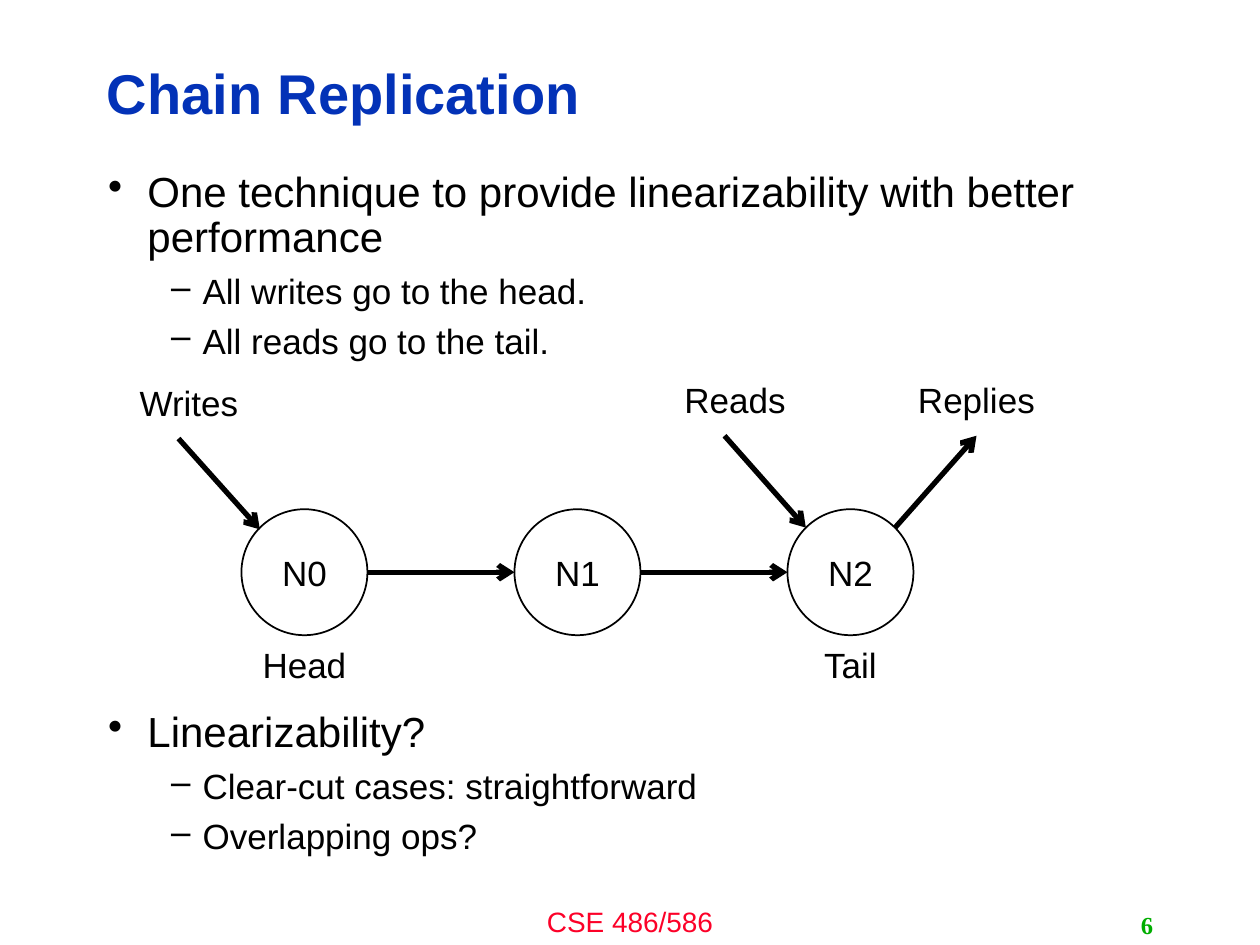
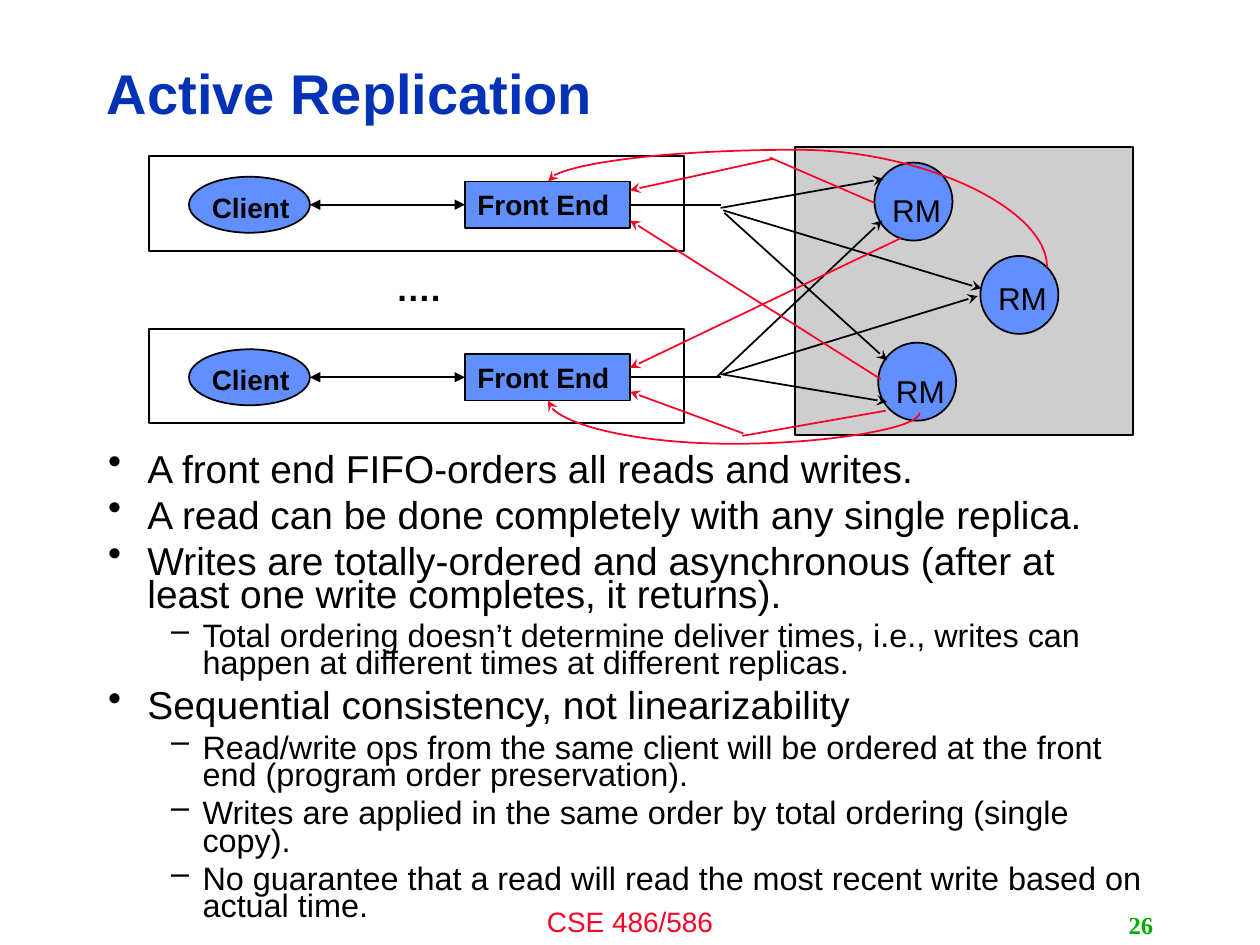
from dataclasses import dataclass

from lxml import etree
from pptx import Presentation
from pptx.dml.color import RGBColor
from pptx.enum.shapes import MSO_CONNECTOR as CONN, MSO_SHAPE as SHAPE
from pptx.enum.text import MSO_ANCHOR as ANCHOR, PP_ALIGN as ALIGN
from pptx.oxml.ns import qn
from pptx.util import Pt

# Shared style
BLACK, WHITE, RED = "000000", "FFFFFF", "FC0128"
TITLE_BLUE, NUMBER_GREEN = "0332B7", "00AE00"
NODE_BLUE, PANEL_GREY = "618FFD", "CECECE"
SANS, SERIF = "Arial", "Times New Roman"
BULLETS = (("•", 22.5, -22.5), ("–", 54, -18))  # mark, margin, indent by level
SPACE_RATIO = 0.345  # space above a body line, relative to its text size


@dataclass(frozen=True)
class Box:
    x: float
    y: float
    w: float
    h: float

    def down(self, dy: float) -> "Box":
        return Box(self.x, self.y + dy, self.w, self.h)


@dataclass(frozen=True)
class Style:
    size: float
    color: str = BLACK
    bold: bool = False
    font: str = SANS
    align: ALIGN = ALIGN.CENTER
    anchor: ANCHOR = ANCHOR.TOP
    spacing: float = 1.0


@dataclass(frozen=True)
class Item:
    text: str
    level: int = 0
    gap: float | None = None  # replaces the usual space above


@dataclass(frozen=True)
class Arrow:
    start: tuple[float, float]
    end: tuple[float, float]
    color: str = BLACK
    tail: str | None = "stealth"
    width: float = 1
    head: str | None = None


@dataclass(frozen=True)
class Curve:
    start: tuple[float, float]
    end: tuple[float, float]
    bend: float
    turn: int
    flip: str


@dataclass(frozen=True)
class Replica:
    x: float
    y: float
    drop: float  # distance from circle top to label box


TITLE = Style(32, TITLE_BLUE, True, align=ALIGN.LEFT, anchor=ANCHOR.MIDDLE, spacing=0.9)
FOOTER = Style(16, RED)
NUMBER = Style(14, NUMBER_GREEN, True, SERIF, ALIGN.RIGHT, ANCHOR.MIDDLE)
NODE = Style(20, anchor=ANCHOR.MIDDLE)
LABEL = Style(20)
DOTS = Style(20, bold=True)
CLIENT = Style(16, bold=True)
FRONT_END = Style(16, bold=True, align=ALIGN.LEFT)
REPLICA = Style(18)


def rgb(color: str) -> RGBColor:
    return RGBColor.from_string(color)


def add_run(p, text: str, size: float, color: str = BLACK,
            bold: bool = False, font: str = SANS) -> None:
    r = p.add_run()
    r.text = text
    r.font.size, r.font.bold, r.font.name = Pt(size), bold, font
    r.font.color.rgb = rgb(color)


def write(sp, text: str, style: Style) -> None:
    tf = sp.text_frame
    tf.word_wrap = True
    tf.vertical_anchor = style.anchor
    p = tf.paragraphs[0]
    p.alignment, p.line_spacing = style.align, style.spacing
    add_run(p, text, style.size, style.color, style.bold, style.font)


def textbox(slide, box: Box):
    return slide.shapes.add_textbox(Pt(box.x), Pt(box.y), Pt(box.w), Pt(box.h))


def label(slide, box: Box, text: str, style: Style) -> None:
    write(textbox(slide, box), text, style)


def shape(slide, kind: SHAPE, box: Box, fill: str | None = None):
    sp = slide.shapes.add_shape(kind, Pt(box.x), Pt(box.y), Pt(box.w), Pt(box.h))
    sp.shadow.inherit = False
    if fill:
        sp.fill.solid()
        sp.fill.fore_color.rgb = rgb(fill)
    else:
        sp.fill.background()
    sp.line.color.rgb, sp.line.width = rgb(BLACK), Pt(1)
    return sp


def connector(slide, kind: CONN, arrow: Arrow):
    c = slide.shapes.add_connector(kind, *map(Pt, arrow.start + arrow.end))
    c.line.color.rgb, c.line.width = rgb(arrow.color), Pt(arrow.width)
    ln = c.line._get_or_add_ln()
    for tag, end in (("a:headEnd", arrow.head), ("a:tailEnd", arrow.tail)):
        if end:
            etree.SubElement(ln, qn(tag)).set("type", end)
    etree.SubElement(c._element.spPr, qn("a:effectLst"))
    return c


def straight(slide, arrow: Arrow):
    return connector(slide, CONN.STRAIGHT, arrow)


def curve(slide, spec: Curve) -> None:
    """Draw a quarter-turned curved connector that leaves vertically."""
    (x1, y1), (x2, y2) = spec.start, spec.end
    cx, cy = (x1 + x2) / 2, (y1 + y2) / 2
    dx, dy = abs(x2 - x1) / 2, abs(y2 - y1) / 2
    c = connector(slide, CONN.CURVE,
                  Arrow((cx - dy, cy - dx), (cx + dy, cy + dx), RED))
    xfrm = c._element.spPr.find(qn("a:xfrm"))
    xfrm.set("rot", str(spec.turn * 60000))
    xfrm.set(spec.flip, "1")
    geom = c._element.spPr.find(qn("a:prstGeom"))
    guides = geom.find(qn("a:avLst"))
    if guides is None:
        guides = etree.SubElement(geom, qn("a:avLst"))
    guide = etree.SubElement(guides, qn("a:gd"))
    guide.set("name", "adj1")
    guide.set("fmla", f"val {round(spec.bend * 100000)}")


def body(slide, box: Box, items: list[Item], sizes: tuple[float, float],
         spacing: float) -> None:
    tf = textbox(slide, box).text_frame
    tf.word_wrap = True
    for i, item in enumerate(items):
        p = tf.add_paragraph() if i else tf.paragraphs[0]
        size = sizes[item.level]
        gap = size * SPACE_RATIO if item.gap is None else item.gap
        p.level, p.line_spacing, p.space_before = item.level, spacing, Pt(gap)
        mark, margin, indent = BULLETS[item.level]
        pPr = p._p.get_or_add_pPr()
        pPr.set("marL", str(Pt(margin)))
        pPr.set("indent", str(Pt(indent)))
        etree.SubElement(pPr, qn("a:buChar")).set("char", mark)
        add_run(p, item.text, size)


def new_slide(prs, title: str, number: int):
    slide = prs.slides.add_slide(prs.slide_layouts[6])
    label(slide, Box(240, 513.4, 240, 26.6), "CSE 486/586", FOOTER)
    label(slide, Box(54, 26, 574.6, 58.3), title, TITLE)
    label(slide, Box(516.2, 517, 149.8, 23), str(number), NUMBER)
    return slide


def chain_slide(prs) -> None:
    slide = new_slide(prs, "Chain Replication", 6)
    body(slide, Box(54.7, 94.3, 604.8, 388), [
        Item("One technique to provide linearizability with better performance", gap=0),
        Item("All writes go to the head.", 1),
        Item("All reads go to the tail.", 1),
        Item("Linearizability?", gap=200),  # leaves room for the diagram
        Item("Clear-cut cases: straightforward", 1),
        Item("Overlapping ops?", 1),
    ], (24, 20), 0.9)

    # Chain of nodes
    for i in range(3):
        x = 138 + 156 * i
        sp = shape(slide, SHAPE.OVAL, Box(x, 291, 72, 72), WHITE)
        write(sp, f"N{i}", NODE)
        if i:
            straight(slide, Arrow((x - 84, 327), (x, 327), tail="arrow", width=3))

    # Requests and replies at the upper corners of the outer nodes
    for start, end in (((102, 250.6), (148.5, 302.5)),
                       ((414, 249), (460.5, 301.5)),
                       ((511.5, 301.5), (558, 249))):
        straight(slide, Arrow(start, end, tail="arrow", width=3))
    for text, x, y in (("Writes", 54, 214.6), ("Reads", 366, 213),
                       ("Replies", 504, 213), ("Head", 120, 364.3),
                       ("Tail", 432, 364.3)):
        label(slide, Box(x, y, 108, 31.7), text, LABEL)


def active_slide(prs) -> None:
    slide = new_slide(prs, "Active Replication", 26)
    body(slide, Box(54.7, 257.8, 604.8, 282), [
        Item("A front end FIFO-orders all reads and writes.", gap=0),
        Item("A read can be done completely with any single replica."),
        Item("Writes are totally-ordered and asynchronous (after at least one "
             "write completes, it returns)."),
        Item("Total ordering doesn’t determine deliver times, i.e., writes can "
             "happen at different times at different replicas.", 1),
        Item("Sequential consistency, not linearizability"),
        Item("Read/write ops from the same client will be ordered at the front "
             "end (program order preservation).", 1),
        Item("Writes are applied in the same order by total ordering (single copy).", 1),
        Item("No guarantee that a read will read the most recent write based on "
             "actual time.", 1),
    ], (22.2, 18.5), 0.7)

    # Replica managers
    shape(slide, SHAPE.RECTANGLE, Box(454.3, 84.2, 193, 164.2), PANEL_GREY)
    for rm in (Replica(560.2, 146.2, 10), Replica(499.7, 92.9, 13),
               Replica(501.8, 195.8, 13)):
        shape(slide, SHAPE.OVAL, Box(rm.x, rm.y, 44.6, 44.6), NODE_BLUE)
        label(slide, Box(rm.x - 2.5, rm.y + rm.drop, 53.3, 26.6), "RM", REPLICA)

    # Two client rows
    for dy in (0, 98.6):
        shape(slide, SHAPE.RECTANGLE, Box(85, 89.3, 306, 54).down(dy))
        shape(slide, SHAPE.OVAL, Box(108, 101, 69.1, 32).down(dy), NODE_BLUE)
        label(slide, Box(108.7, 105.1, 69.1, 26.6).down(dy), "Client", CLIENT)
        front = shape(slide, SHAPE.RECTANGLE,
                      Box(265.7, 103.7, 94.3, 26.6).down(dy), NODE_BLUE)
        write(front, "Front End", FRONT_END)
        y = 117 + dy
        link = straight(slide, Arrow((177.1, y), (265.7, y),
                                     tail="triangle", head="triangle"))
        link.end_connect(front, 1)
        fan_out = straight(slide, Arrow((360, y), (411.8, y), tail=None))
        fan_out.begin_connect(front, 3)
    label(slide, Box(187.2, 149, 103.7, 31.7), "….", DOTS)

    # Requests to the replicas (black) and replies (red)
    for arrow in (
        Arrow((411.8, 118.8), (504.7, 102.2)),
        Arrow((413.3, 120.2), (560.9, 164.9)),
        Arrow((414, 121.7), (506.9, 205.9)),
        Arrow((409.7, 215.3), (504, 126)),
        Arrow((411.8, 213.8), (506.9, 229.7)),
        Arrow((413.3, 213.8), (558.7, 169.2)),
        Arrow((499.7, 115.9), (439.9, 90), RED, None),
        Arrow((442.1, 90.7), (360, 108.7), RED),
        Arrow((503.3, 216.7), (360, 126), RED),
        Arrow((506.2, 234.7), (424.1, 249.1), RED, None),
        Arrow((424.8, 247.7), (360, 223.9), RED),
        Arrow((514.8, 136.1), (360, 210.2), RED),
    ):
        straight(slide, arrow)
    curve(slide, Curve((598.3, 152.6), (313.2, 103.7), 1.37, 270, "flipV"))
    curve(slide, Curve((525.6, 235.8), (313.2, 228.8), -2.54, 90, "flipH"))


def main() -> None:
    prs = Presentation()
    prs.slide_width, prs.slide_height = Pt(720), Pt(540)
    chain_slide(prs)
    active_slide(prs)
    prs.save("out.pptx")


if __name__ == "__main__":
    main()
